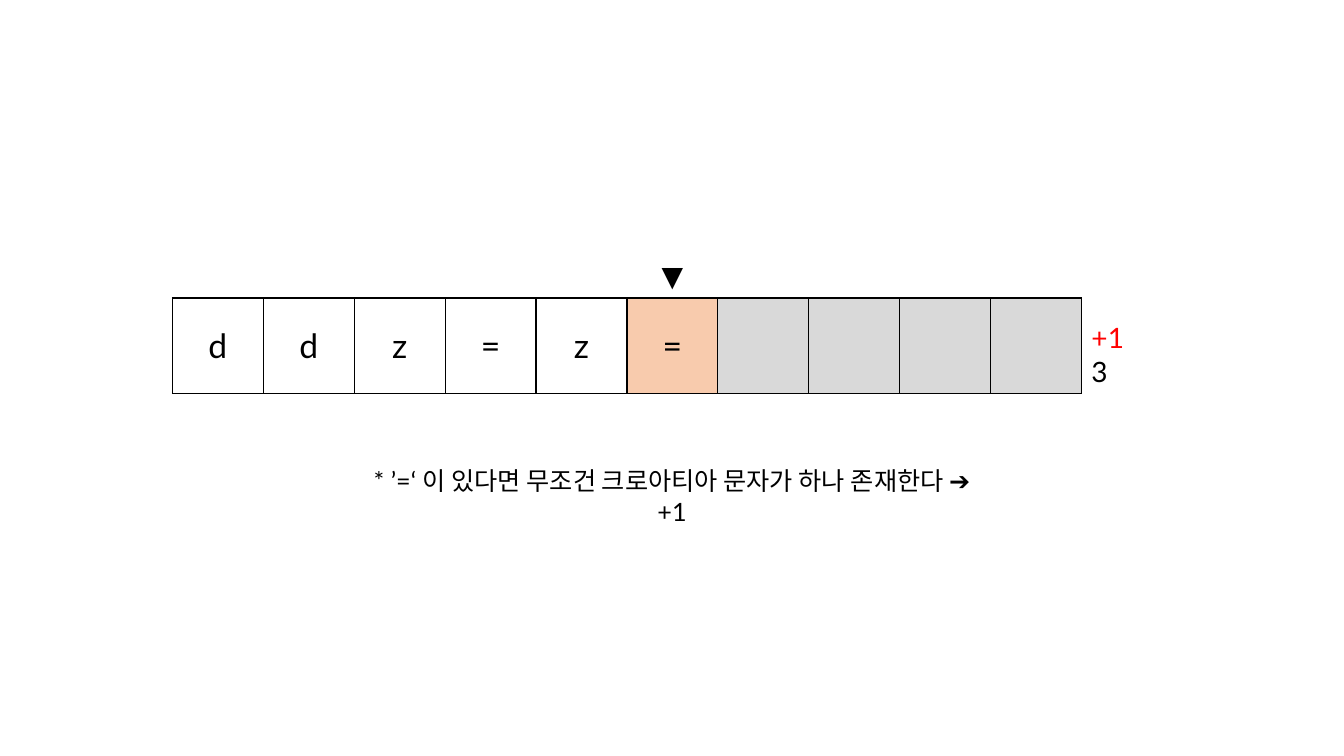
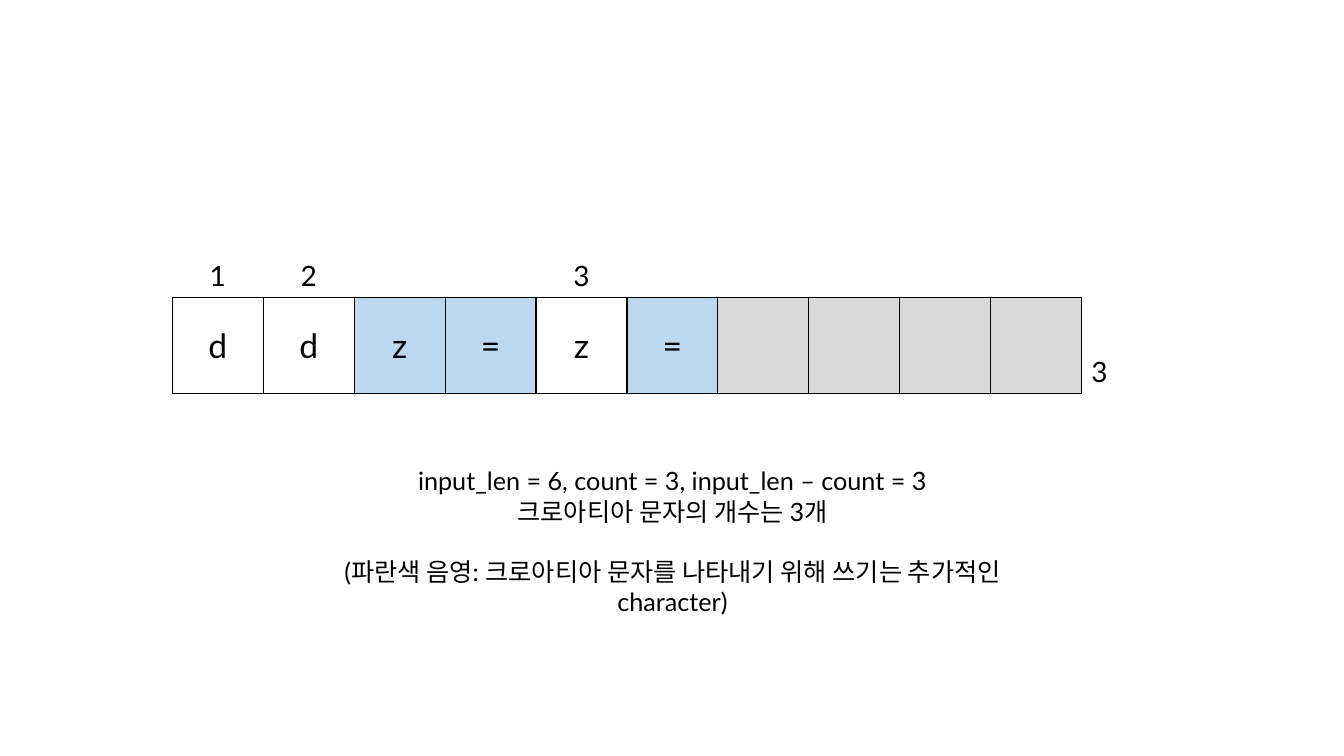
from dataclasses import dataclass, field

from lxml import etree
from pptx import Presentation
from pptx.dml.color import RGBColor
from pptx.enum import text as tx
from pptx.oxml import ns
from pptx.util import Inches, Pt

BLACK = RGBColor(0x00, 0x00, 0x00)
WHITE = RGBColor(0xFF, 0xFF, 0xFF)
RED = RGBColor(0xFF, 0x00, 0x00)
GRAY = RGBColor(0xD9, 0xD9, 0xD9)
PEACH = RGBColor(0xF8, 0xCB, 0xAD)
BLUE = RGBColor(0xBD, 0xD7, 0xEE)
FONT = "Lato"
WORD = "ddz=z="
SLOTS = 10
SIDES = "LRTB"


@dataclass(frozen=True)
class Line:
    text: str
    color: RGBColor = BLACK
    before: float = 0


@dataclass(frozen=True)
class Step:
    marks: dict[int, str]
    tint: RGBColor
    tinted: set[int]
    tally: list[Line]
    left: float
    width: float
    height: float
    notes: list[Line] = field(default_factory=list)


STEPS = [
    Step({5: "▼"}, PEACH, {5}, [Line("+1", RED), Line("3")], 3.52, 6.29, 0.4,
         [Line("* ’=‘ 이 있다면 무조건 크로아티아 문자가 하나 존재한다 ➔ +1")]),
    Step({0: "1", 1: "2", 4: "3"}, BLUE, {2, 3, 5}, [Line("3")], 2.84, 7.66, 1.31,
         [Line("input_len = 6, count = 3, input_len – count = 3"),
          Line("크로아티아 문자의 개수는 3개"),
          Line("(파란색 음영: 크로아티아 문자를 나타내기 위해 쓰기는 추가적인 character)",
               before=21.6)]),
]


def write(frame, lines: list[Line], size: int, align) -> None:
    for index, line in enumerate(lines):
        para = frame.add_paragraph() if index else frame.paragraphs[0]
        para.alignment = align
        if line.before:
            para.space_before = Pt(line.before)
        run = para.add_run()
        run.text = line.text
        run.font.name = FONT
        run.font.size = Pt(size)
        run.font.color.rgb = line.color


def style(cell, sides: str, fill: RGBColor | None = None) -> None:
    props = cell._tc.get_or_add_tcPr()
    for side in SIDES:
        edge = etree.SubElement(props, ns.qn(f"a:ln{side}"), w=str(Pt(1)))
        if side in sides:
            paint = etree.SubElement(edge, ns.qn("a:solidFill"))
            etree.SubElement(paint, ns.qn("a:srgbClr"), val=str(BLACK))
        else:
            etree.SubElement(edge, ns.qn("a:noFill"))
    if fill is None:
        cell.fill.background()
    else:
        cell.fill.solid()
        cell.fill.fore_color.rgb = fill


def draw_grid(slide, step: Step) -> None:
    grid = slide.shapes.add_table(2, SLOTS + 1, Inches(1.71), Inches(2.52),
                                  Inches(9.92), Inches(1.36)).table
    grid.first_row = grid.horz_banding = False
    for row, height in zip(grid.rows, (0.41, 0.95)):
        row.height = Inches(height)
    for col in range(SLOTS):
        head, slot = grid.cell(0, col), grid.cell(1, col)
        style(head, "B")
        head.vertical_anchor = tx.MSO_ANCHOR.BOTTOM
        if col in step.marks:
            write(head.text_frame, [Line(step.marks[col])], 20, tx.PP_ALIGN.CENTER)
        if col < len(WORD):
            style(slot, SIDES, step.tint if col in step.tinted else WHITE)
            slot.vertical_anchor = tx.MSO_ANCHOR.MIDDLE
            write(slot.text_frame, [Line(WORD[col])], 24, tx.PP_ALIGN.CENTER)
        else:
            style(slot, SIDES, GRAY)
    style(grid.cell(0, SLOTS), "")
    tally = grid.cell(1, SLOTS)
    style(tally, "L")
    tally.vertical_anchor = tx.MSO_ANCHOR.BOTTOM
    write(tally.text_frame, step.tally, 20, tx.PP_ALIGN.LEFT)


def draw_notes(slide, step: Step) -> None:
    box = slide.shapes.add_textbox(Inches(step.left), Inches(4.57),
                                   Inches(step.width), Inches(step.height))
    box.text_frame.word_wrap = True
    write(box.text_frame, step.notes, 18, tx.PP_ALIGN.CENTER)


def main() -> None:
    deck = Presentation()
    deck.slide_width, deck.slide_height = Inches(13.33), Inches(7.5)
    for step in STEPS:
        slide = deck.slides.add_slide(deck.slide_layouts[6])
        draw_grid(slide, step)
        draw_notes(slide, step)
    deck.save("out.pptx")


if __name__ == "__main__":
    main()
